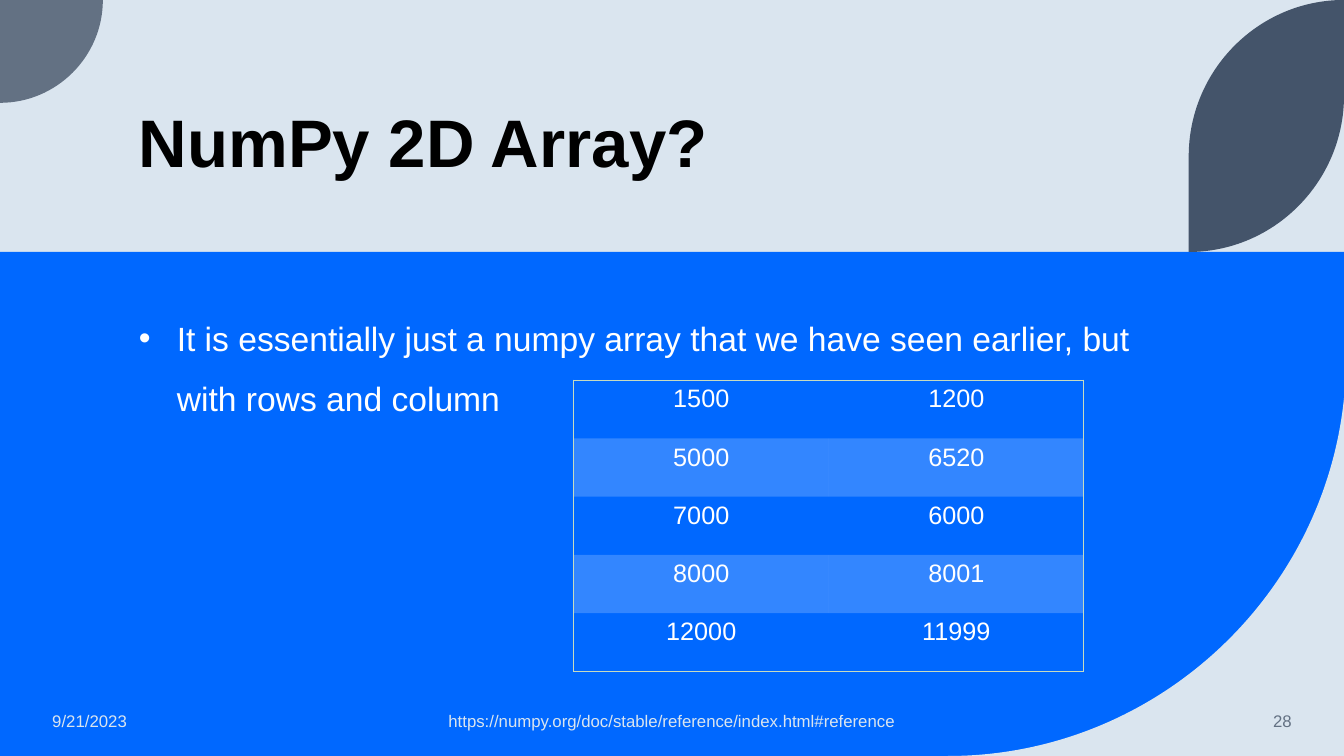
from dataclasses import dataclass

from lxml.etree import SubElement
from pptx import Presentation
from pptx.dml.color import RGBColor
from pptx.enum.shapes import MSO_SHAPE
from pptx.enum.text import MSO_ANCHOR, PP_ALIGN
from pptx.oxml import parse_xml
from pptx.oxml.ns import nsdecls, qn
from pptx.util import Inches, Pt

WHITE, PALE, BLUE = "FFFFFF", "DAE5EF", "0068FF"
GREY, SLATE, BORDER = "637183", "44546A", "C7DBBF"
FONT = "Arial"
NO_GRID_STYLE = "{2D5ABB26-0587-4C30-8999-92F81FD0307C}"
ARRAY = [(1500, 1200), (5000, 6520), (7000, 6000), (8000, 8001), (12000, 11999)]
TABLE_WIDTH, TABLE_HEIGHT = 5.06, 2.89
BULLET_INDENT = 3 / 8
ROUNDNESS = 0.55

Point = tuple[float, float]


@dataclass
class TextItem:
    text: str
    left: float
    top: float
    width: float
    height: float
    size: int
    color: str
    align: PP_ALIGN = PP_ALIGN.LEFT
    anchor: MSO_ANCHOR = MSO_ANCHOR.MIDDLE
    bold: bool = False
    spacing: float = 1.0
    bullet: bool = False


@dataclass
class Step:
    end: Point
    corner: Point | None = None


@dataclass
class Outline:
    color: str
    start: Point
    steps: list[Step]


TEXTS = [
    TextItem("NumPy 2D Array?", 1.28, 0.41, 10.69, 1.45, 48, "000000",
             anchor=MSO_ANCHOR.BOTTOM, bold=True, spacing=0.9),
    TextItem("It is essentially just a numpy array that we have seen earlier, "
             "but with rows and column", 1.28, 2.9, 10.69, 3.76, 24, WHITE,
             anchor=MSO_ANCHOR.TOP, spacing=1.5, bullet=True),
    TextItem("9/21/2023", 0.42, 6.95, 3, 0.4, 12, PALE),
    TextItem("https://numpy.org/doc/stable/reference/index.html#reference",
             4.28, 6.95, 4.77, 0.4, 12, PALE, align=PP_ALIGN.CENTER),
    TextItem("28", 11.16, 6.95, 1.75, 0.4, 12, GREY, align=PP_ALIGN.RIGHT),
]
OUTLINES = [
    Outline(PALE, (13.35, 3.55), [Step((9.4, 7.5), corner=(13.35, 7.5)), Step((13.35, 7.5))]),
    Outline(GREY, (0, 0), [Step((1.02, 0)), Step((0, 1.02), corner=(1.02, 1.02))]),
    Outline(SLATE, (13.33, 0), [Step((13.33, 0.95)), Step((11.79, 2.5), corner=(13.33, 2.5)),
                                Step((11.79, 1.55)), Step((13.33, 0), corner=(11.79, 0))]),
]


def rgb(color: str) -> RGBColor:
    return RGBColor.from_string(color)


def paint(shape, color: str) -> None:
    shape.fill.solid()
    shape.fill.fore_color.rgb = rgb(color)
    shape.line.fill.background()
    shape.shadow.inherit = False


def write(frame, text: str, *, size: int, color: str, align: PP_ALIGN = PP_ALIGN.LEFT,
          bold: bool = False, spacing: float = 1.0, bullet: bool = False) -> None:
    para = frame.paragraphs[0]
    para.alignment = align
    para.line_spacing = spacing
    span = para.add_run()
    span.text = text
    span.font.name = FONT
    span.font.size = Pt(size)
    span.font.bold = bold
    span.font.color.rgb = rgb(color)
    if bullet:
        properties = para._p.get_or_add_pPr()
        properties.set("marL", str(Inches(BULLET_INDENT)))
        properties.set("indent", str(Inches(-BULLET_INDENT)))
        SubElement(properties, qn("a:buFont"), typeface=FONT)
        SubElement(properties, qn("a:buChar"), char="•")


def add_text(page, item: TextItem) -> None:
    box = page.shapes.add_textbox(Inches(item.left), Inches(item.top),
                                  Inches(item.width), Inches(item.height))
    frame = box.text_frame
    frame.word_wrap = True
    frame.vertical_anchor = item.anchor
    write(frame, item.text, size=item.size, color=item.color, align=item.align,
          bold=item.bold, spacing=item.spacing, bullet=item.bullet)


def toward(point: Point, corner: Point) -> Point:
    return (point[0] + (corner[0] - point[0]) * ROUNDNESS,
            point[1] + (corner[1] - point[1]) * ROUNDNESS)


def add_outline(page, outline: Outline) -> None:
    points = [outline.start]
    for step in outline.steps:
        if step.corner:
            points += [toward(points[-1], step.corner), toward(step.end, step.corner)]
        points.append(step.end)
    start, *others = [(Inches(x), Inches(y)) for x, y in points]
    builder = page.shapes.build_freeform(*start)
    builder.add_line_segments(others, close=True)
    shape = builder.convert_to_shape()
    lines = iter(shape._element.findall(".//" + qn("a:lnTo")))
    for step in outline.steps:
        line = next(lines)
        if step.corner:
            line.tag = qn("a:cubicBezTo")
            for extra in (next(lines), next(lines)):
                line.append(extra[0])
                extra.getparent().remove(extra)
    paint(shape, outline.color)


def fill_cell(cell, banded: bool) -> None:
    if not banded:
        cell.fill.background()
        return
    cell.fill.solid()
    cell.fill.fore_color.rgb = rgb(WHITE)
    color = cell._tc.tcPr.find(".//" + qn("a:srgbClr"))
    SubElement(color, qn("a:alpha"), val="20000")


def border_cell(cell, sides: list[str]) -> None:
    properties = cell._tc.get_or_add_tcPr()
    for index, side in enumerate(sides):
        properties.insert(index, parse_xml(
            f'<a:ln{side} {nsdecls("a")} w="{Pt(0.75)}"><a:solidFill>'
            f'<a:srgbClr val="{BORDER}"/></a:solidFill></a:ln{side}>'))


def add_array(page) -> None:
    rows, columns = len(ARRAY), len(ARRAY[0])
    table = page.shapes.add_table(rows, columns, Inches(5.69), Inches(3.77),
                                  Inches(TABLE_WIDTH), Inches(TABLE_HEIGHT)).table
    table._tbl.tblPr.find(qn("a:tableStyleId")).text = NO_GRID_STYLE
    table.first_row = table.horz_banding = False
    for row, values in enumerate(ARRAY):
        for column, value in enumerate(values):
            cell = table.cell(row, column)
            write(cell.text_frame, str(value), size=18, color=WHITE, align=PP_ALIGN.CENTER)
            fill_cell(cell, banded=row % 2 == 1)
            edges = {"L": column == 0, "R": column == columns - 1,
                     "T": row == 0, "B": row == rows - 1}
            border_cell(cell, [side for side, outer in edges.items() if outer])


def main() -> None:
    deck = Presentation()
    deck.slide_width, deck.slide_height = Inches(13.33), Inches(7.5)
    page = deck.slides.add_slide(deck.slide_layouts[6])
    page.background.fill.solid()
    page.background.fill.fore_color.rgb = rgb(PALE)
    panel = page.shapes.add_shape(MSO_SHAPE.RECTANGLE, 0, Inches(2.5),
                                  Inches(13.35), Inches(5))
    paint(panel, BLUE)
    for outline in OUTLINES:
        add_outline(page, outline)
    for item in TEXTS:
        add_text(page, item)
    add_array(page)
    deck.save("out.pptx")


if __name__ == "__main__":
    main()
